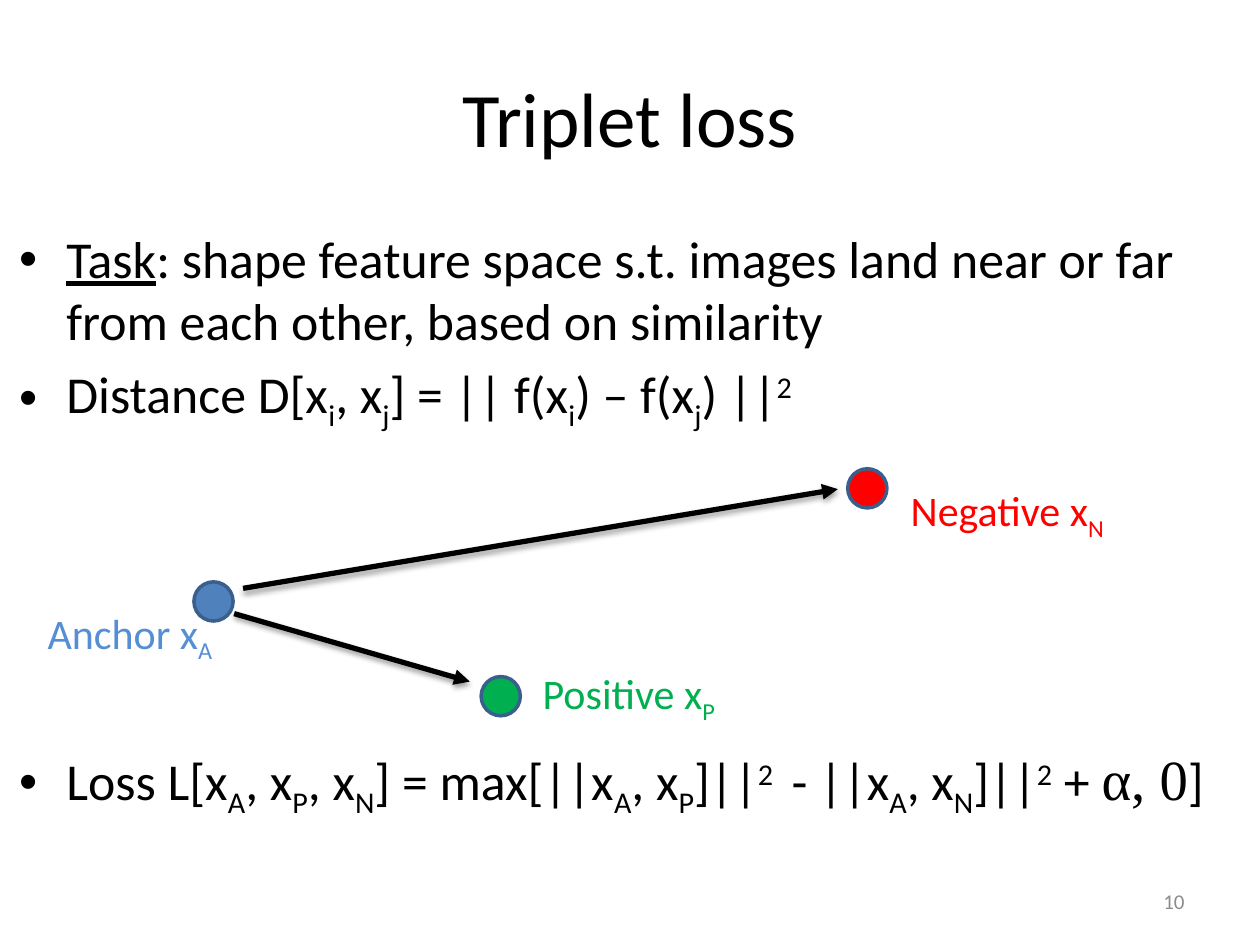
from dataclasses import dataclass

from lxml import etree
from pptx import Presentation
from pptx.dml.color import RGBColor
from pptx.enum.shapes import MSO_CONNECTOR as Link, MSO_SHAPE as Kind
from pptx.enum.text import MSO_ANCHOR as Anchor, MSO_AUTO_SIZE as Fit, PP_ALIGN as Align
from pptx.oxml.ns import qn
from pptx.util import Cm, Pt

BLACK = "000000"
EDGE = "3A5F8C"
DOT = 0.79


@dataclass
class Point:
    """A dot of the triplet with its label; label is left, top, width."""
    text: str
    x: float
    y: float
    fill: str
    ink: str
    label: tuple[float, float, float]


@dataclass
class Arrow:
    start: tuple[float, float]
    end: tuple[float, float]


POINTS = [
    Point("Anchor x~A", 3.91, 11.73, "4F81BD", "558ED5", (0.71, 12.12, 4.19)),
    Point("Negative x~N", 17.09, 9.45, "FF0000", "FF0000", (18.11, 9.65, 4.6)),
    Point("Positive x~P", 9.7, 13.64, "00B050", "00B050", (10.69, 13.34, 4.6)),
]
ARROWS = [
    Arrow((4.9, 11.86), (16.89, 9.86)),
    Arrow((4.72, 12.37), (9.47, 13.74)),
]


def paint(target, color: str) -> None:
    """Give a fill a solid colour."""
    target.solid()
    target.fore_color.rgb = RGBColor.from_string(color)


def write(para, text: str, size: float = 29.6, color: str = BLACK,
          font: str = "Calibri", under: bool = False) -> None:
    """Add runs; every second part between ~ is raised (digit) or lowered."""
    for i, part in enumerate(text.split("~")):
        run = para.add_run()
        run.text = part
        run.font.size = Pt(size)
        run.font.name = font
        run.font.underline = under
        paint(run.font.fill, color)
        if i % 2:
            base = 30000 if part.strip().isdigit() else -25000
            run.font._element.set("baseline", str(base))


def place(shape, x: float, y: float, w: float, h: float) -> None:
    shape.left, shape.top, shape.width, shape.height = map(Cm, (x, y, w, h))


def add_text(slide, text: str, x: float, y: float, w: float, h: float, **style):
    frame = slide.shapes.add_textbox(Cm(x), Cm(y), Cm(w), Cm(h)).text_frame
    frame.word_wrap = True
    write(frame.paragraphs[0], text, **style)
    return frame


def add_point(slide, point: Point) -> None:
    dot = slide.shapes.add_shape(Kind.OVAL, Cm(point.x), Cm(point.y), Cm(DOT), Cm(DOT))
    dot.shadow.inherit = False
    paint(dot.fill, point.fill)
    paint(dot.line.fill, EDGE)
    dot.line.width = Pt(2)
    add_text(slide, point.text, *point.label, 1.28, size=24, color=point.ink)


def add_arrow(slide, arrow: Arrow) -> None:
    ends = map(Cm, arrow.start + arrow.end)
    line = slide.shapes.add_connector(Link.STRAIGHT, *ends)
    paint(line.line.fill, BLACK)
    line.line.width = Pt(3)
    props = line.element.spPr
    etree.SubElement(props.find(qn("a:ln")), qn("a:tailEnd"), type="triangle")
    effects = etree.SubElement(props, qn("a:effectLst"))
    shade = etree.SubElement(effects, qn("a:outerShdw"), blurRad="40000",
                             dist="20000", dir="5400000", rotWithShape="0")
    tint = etree.SubElement(shade, qn("a:srgbClr"), val=BLACK)
    etree.SubElement(tint, qn("a:alpha"), val="38000")


def fill_body(body) -> None:
    place(body, 0.13, 4.45, 25.15, 12.57)
    frame = body.text_frame
    frame.auto_size = Fit.NONE
    task, dist, loss = frame.paragraphs[0], frame.add_paragraph(), frame.add_paragraph()
    # The wide gap before the loss leaves room for the drawing.
    for para, gap in ((task, 0), (dist, 6), (loss, 178)):
        para.space_before = Pt(gap)
    write(task, "Task", under=True)
    write(task, ": shape feature space s.t. images land near or far from each other, "
                "based on similarity")
    write(dist, "Distance D[x~i~, x~j~] = || f(x~i~) – f(x~j~) ||~2")
    write(loss, "Loss L[x~A~, x~P~, x~N~] = max[||x~A~, x~P~]||~2 ~ - ||x~A~, x~N~]||~2~ + ")
    write(loss, "α, 0", size=32.4, font="Times New Roman")
    write(loss, "]")


def main() -> None:
    deck = Presentation()
    deck.slide_width, deck.slide_height = Cm(25.4), Cm(19.05)
    slide = deck.slides.add_slide(deck.slide_layouts[1])

    title = slide.shapes.title
    place(title, 1.27, 0.76, 22.86, 3.18)
    write(title.text_frame.paragraphs[0], "Triplet loss", size=44)
    fill_body(slide.placeholders[1])

    number = add_text(slide, "10", 18.21, 17.65, 5.92, 1.02, size=12, color="8C8C8C")
    number.vertical_anchor = Anchor.MIDDLE
    number.paragraphs[0].alignment = Align.RIGHT

    for point in POINTS:
        add_point(slide, point)
    for arrow in ARROWS:
        add_arrow(slide, arrow)
    deck.save("out.pptx")


if __name__ == "__main__":
    main()
